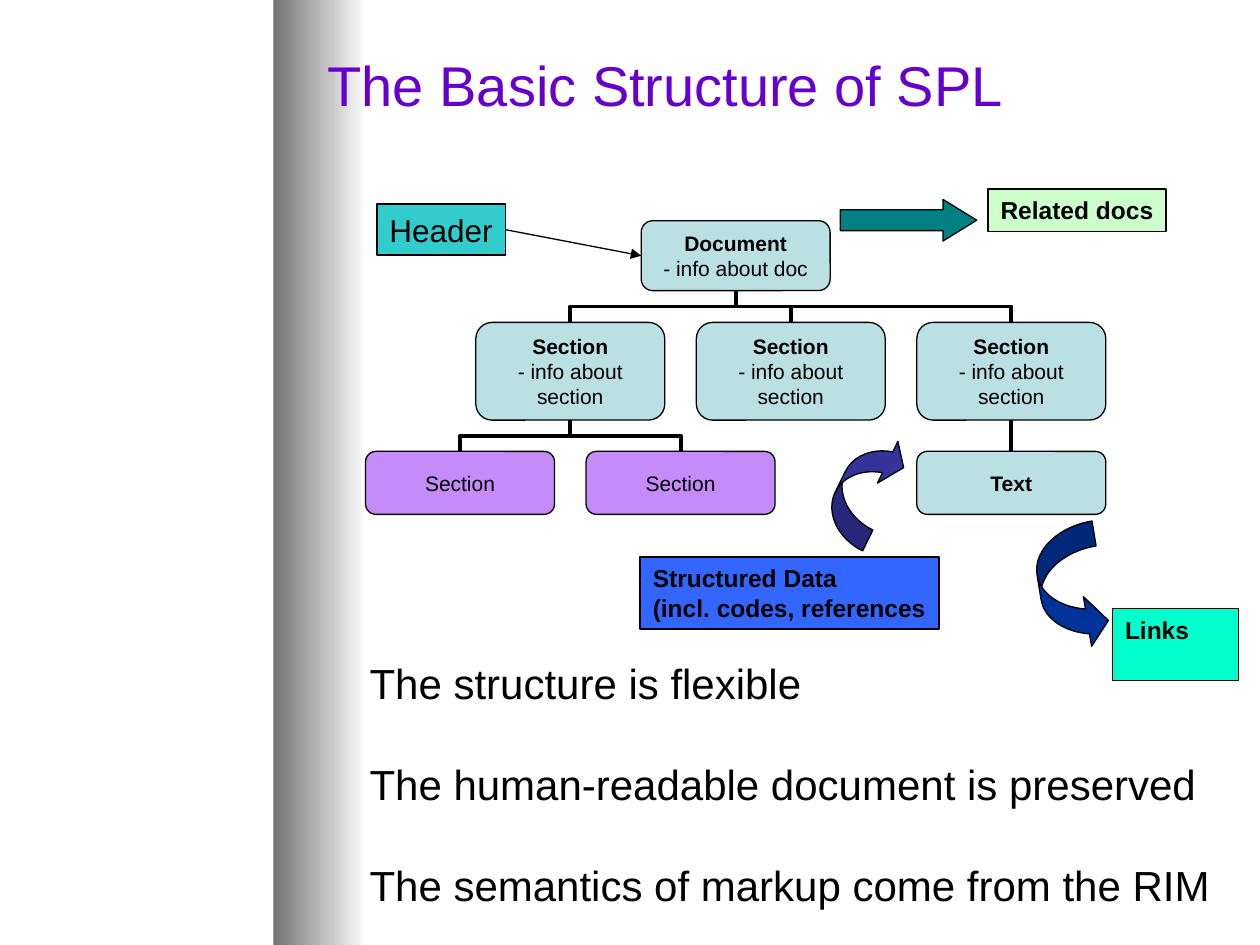
from lxml import etree
from pptx import Presentation
from pptx import util as u
from pptx.dml.color import RGBColor
from pptx.enum import shapes, text
from pptx.oxml.ns import qn

Cm, Pt = u.Cm, u.Pt
KIND = shapes.MSO_SHAPE
LINK = shapes.MSO_CONNECTOR
FONT = "Arial"
BLACK = RGBColor(0, 0, 0)
WHITE = RGBColor(0xFF, 0xFF, 0xFF)
GREY = RGBColor(0x73, 0x73, 0x73)
PURPLE = RGBColor(0x66, 0x00, 0xCC)
PALE = RGBColor(0xBB, 0xE0, 0xE3)
LILAC = RGBColor(0xC5, 0x8B, 0xF9)
BLUE = RGBColor(0x33, 0x66, 0xFF)
CYAN = RGBColor(0x33, 0xCC, 0xCC)
AQUA = RGBColor(0x00, 0xFF, 0xCC)
MINT = RGBColor(0xCC, 0xFF, 0xCC)
TEAL = RGBColor(0x00, 0x80, 0x80)
NAVY = RGBColor(0x00, 0x33, 0x99)
INDIGO = RGBColor(0x33, 0x33, 0x99)


def write(frame, lines, size, align=text.PP_ALIGN.LEFT, color=BLACK, gap=0):
    """Each line is a (words, bold) pair and becomes one paragraph."""
    for i, (words, bold) in enumerate(lines):
        para = frame.paragraphs[0] if i == 0 else frame.add_paragraph()
        para.alignment = align
        if i and gap:
            para.space_before = Pt(gap)
        run = para.add_run()
        run.text = words
        font = run.font
        font.name, font.size, font.bold = FONT, Pt(size), bold
        font.color.rgb = color


def shape(slide, kind, box, fill, line=0.75, adjust=(), turn=0):
    item = slide.shapes.add_shape(kind, *map(Cm, box))
    item.shadow.inherit = False
    item.fill.solid()
    item.fill.fore_color.rgb = fill
    item.line.color.rgb = BLACK
    item.line.width = Pt(line)
    item.rotation = turn
    for i, value in enumerate(adjust):
        item.adjustments[i] = value
    return item


def node(slide, box, lines, fill=PALE):
    item = shape(slide, KIND.ROUNDED_RECTANGLE, box, fill)
    item.text_frame.word_wrap = True
    item.text_frame.vertical_anchor = text.MSO_ANCHOR.MIDDLE
    write(item.text_frame, lines, 12, text.PP_ALIGN.CENTER)
    return item


def label(slide, box, lines, fill, size=14, wrap=False):
    item = shape(slide, KIND.RECTANGLE, box, fill, 1)
    item.text_frame.word_wrap = wrap
    item.text_frame.vertical_anchor = text.MSO_ANCHOR.TOP
    write(item.text_frame, lines, size)
    return item


def join(slide, start, end, sides, kind=LINK.STRAIGHT, width=2.25):
    wire = slide.shapes.add_connector(kind, 0, 0, 0, 0)
    wire.begin_connect(start, sides[0])
    wire.end_connect(end, sides[1])
    wire.line.color.rgb = BLACK
    wire.line.width = Pt(width)
    etree.SubElement(wire._element.spPr, qn("a:effectLst"))
    return wire


def branch(slide, parent, child):
    """Elbow that leaves the parent downwards and enters the child's top."""
    wire = join(slide, parent, child, (2, 0), LINK.ELBOW)
    x1, y1 = parent.left + parent.width // 2, parent.top + parent.height
    x2, y2 = child.left + child.width // 2, child.top
    wide, high = y2 - y1, abs(x2 - x1)
    wire.left, wire.top = (x1 + x2 - wide) // 2, (y1 + y2 - high) // 2
    wire.width, wire.height = wide, high
    # A quarter turn makes the first leg vertical
    form = wire._element.spPr.find(qn("a:xfrm"))
    for name in ("flipH", "flipV"):
        form.attrib.pop(name, None)
    form.set("rot", "5400000" if x2 < x1 else "16200000")
    if x2 > x1:
        form.set("flipH", "1")


def band(slide, x, y, w, h):
    item = slide.shapes.add_shape(KIND.RECTANGLE, Cm(x), Cm(y), Cm(w), Cm(h))
    item.shadow.inherit = False
    item.line.fill.background()
    item.fill.gradient()
    item.fill.gradient_angle = 0
    for stop, color, place in zip(item.fill.gradient_stops, (GREY, WHITE), (0, 1)):
        stop.color.rgb, stop.position = color, place
    slide.shapes._spTree.insert(2, item._element)  # behind the title


def title(slide, x, y, w, h):
    item = slide.shapes.title
    item.left, item.top, item.width, item.height = map(Cm, (x, y, w, h))
    item.text_frame.vertical_anchor = text.MSO_ANCHOR.MIDDLE
    write(item.text_frame, [("The Basic Structure of SPL", False)], 32, color=PURPLE)


def tree(slide, x, y):
    wide, pitch = 3.81, 4.445

    def place(col, top, high):
        return x + col * pitch, y + top, wide, high

    # Three levels of boxes
    info = [("Section", True), ("- info about section", False)]
    doc = node(slide, place(1.25, 0.64, 1.41),
               [("Document", True), ("- info about doc", False)])
    parts = [node(slide, place(col, 2.69, 1.97), info) for col in (0.5, 1.5, 2.5)]
    subs = [node(slide, place(col, 5.29, 1.27), [("Section", False)], LILAC)
            for col in (0, 1)]
    leaf = node(slide, place(2.5, 5.29, 1.27), [("Text", True)])

    # Branches
    for part in parts:
        branch(slide, doc, part)
    for sub in subs:
        branch(slide, parts[0], sub)
    join(slide, parts[2], leaf, (2, 0))

    # Header and its pointer
    head = label(slide, (x + 0.23, y + 0.31, 2.59, 1.02), [("Header", False)], CYAN, 18)
    wire = join(slide, head, doc, (3, 1), width=0.75)
    etree.SubElement(wire.line._get_or_add_ln(), qn("a:tailEnd"), type="triangle")


def notes(slide, x, y):
    """Labels around the tree, with the block arrows that lead to them."""
    label(slide, (x + 5.54, y + 7.42, 6.02, 1.45),
          [("Structured Data", True), ("(incl. codes, references", True)], BLUE)
    label(slide, (x + 15.06, y + 8.46, 2.54, 1.45), [("Links", True)], AQUA, wrap=True)
    label(slide, (x + 12.55, y, 3.58, 0.86), [("Related docs", True)], MINT)
    shape(slide, KIND.CURVED_RIGHT_ARROW, (x + 13.59, y + 6.78, 1.27, 2.54), NAVY,
          adjust=(0.4, 0.8, 0.33), turn=350.6)
    shape(slide, KIND.CURVED_DOWN_ARROW, (x + 8.91, y + 5.51, 2.34, 1.02), INDIGO,
          adjust=(0.46, 0.92, 0.33), turn=296.2)
    shape(slide, KIND.RIGHT_ARROW, (x + 9.57, y + 0.21, 2.75, 0.84), TEAL,
          adjust=(0.5, 0.81))


def points(slide, x, y, w, h):
    frame = slide.shapes.add_textbox(Cm(x), Cm(y), Cm(w), Cm(h)).text_frame
    frame.word_wrap = False
    write(frame, [("The structure is flexible", False),
                  ("The human-readable document is preserved", False),
                  ("The semantics of markup come from the RIM", False)], 24, gap=29)


def main():
    deck = Presentation()
    deck.slide_width, deck.slide_height = Cm(25.4), Cm(19.05)
    slide = deck.slides.add_slide(deck.slide_layouts[5])
    band(slide, 5.51, 0, 1.9, 19.05)
    title(slide, 6.35, 0.64, 19.05, 2.11)
    tree(slide, 7.37, 3.81)
    notes(slide, 7.37, 3.81)
    points(slide, 7.2, 13.13, 17.45, 5.33)
    deck.save("out.pptx")


if __name__ == "__main__":
    main()
